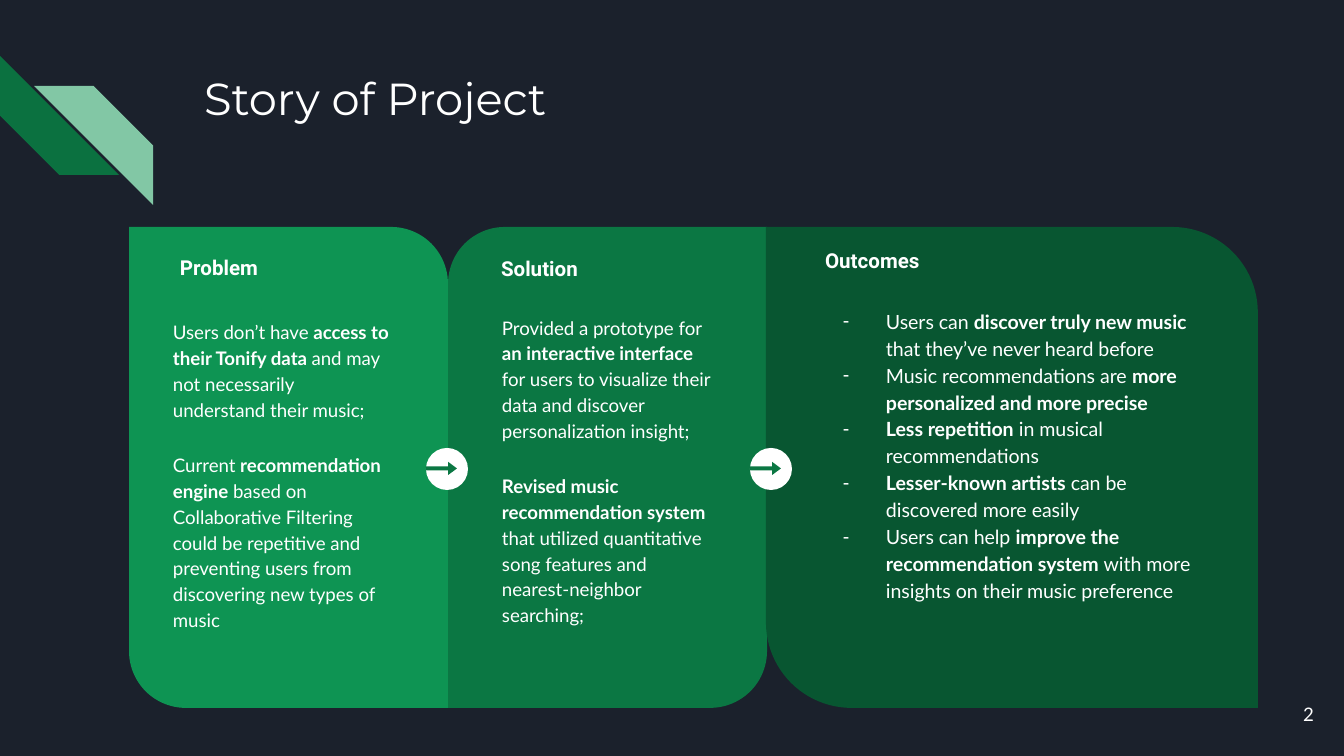
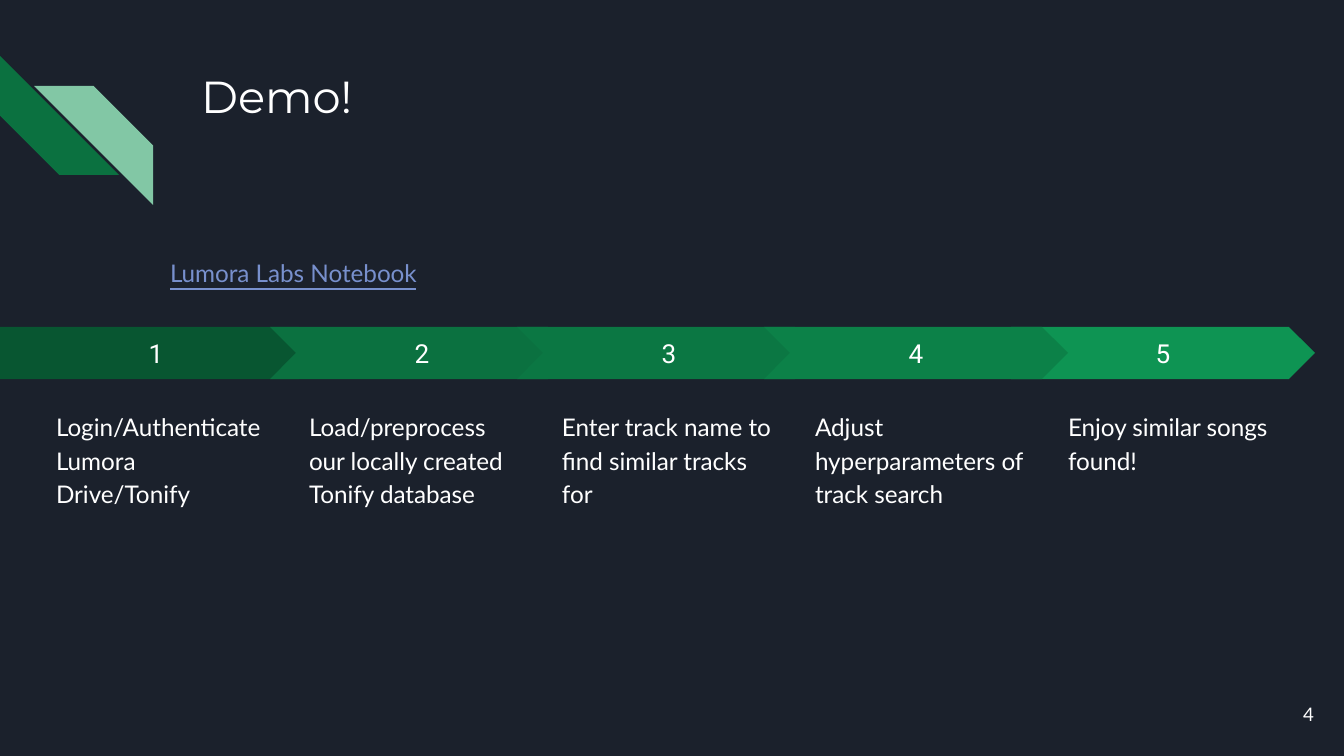
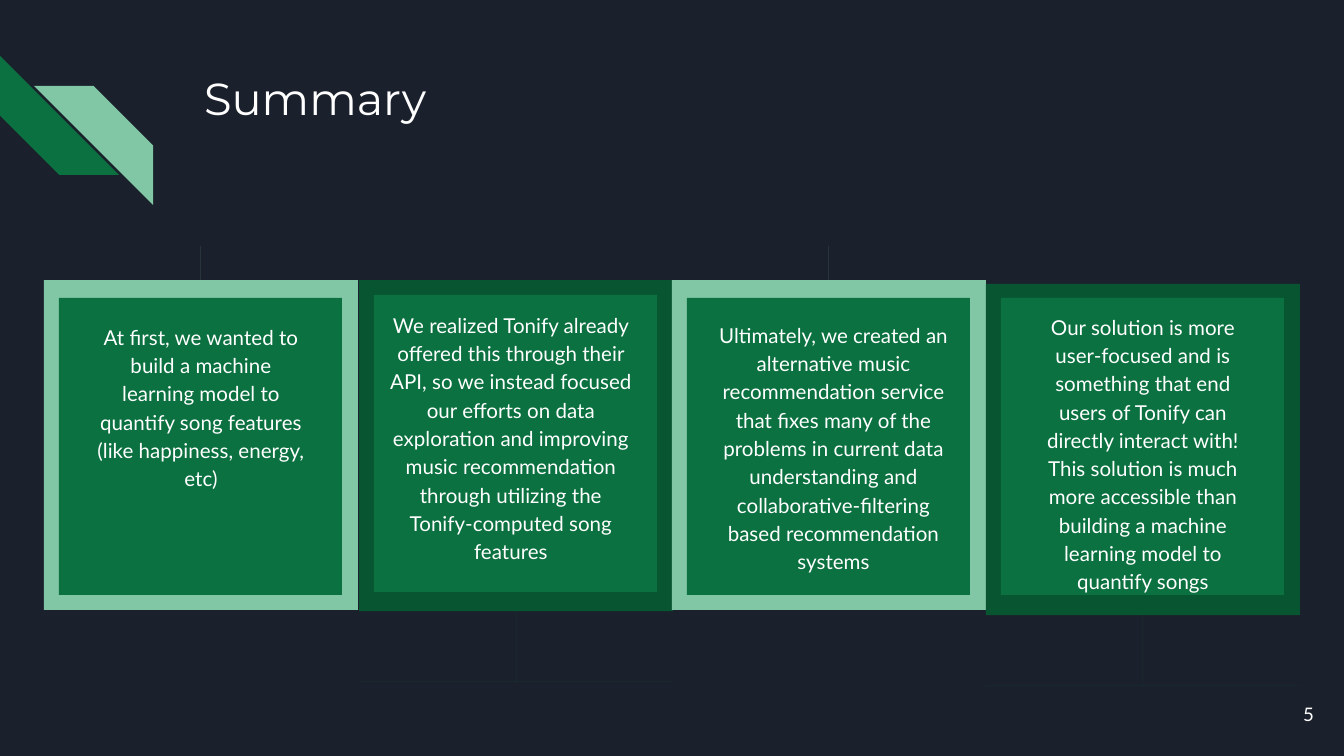
from dataclasses import dataclass, replace
from typing import NamedTuple, Optional

from lxml.etree import SubElement
from pptx import Presentation
from pptx.dml.color import RGBColor
from pptx.enum.shapes import MSO_SHAPE
from pptx.enum.text import MSO_ANCHOR, MSO_AUTO_SIZE, PP_ALIGN
from pptx.oxml.ns import qn
from pptx.shapes.autoshape import Shape
from pptx.slide import Slide
from pptx.text.text import TextFrame, _Paragraph
from pptx.util import Emu, Pt

WIDTH, HEIGHT = 1344, 756
EMU_PER_PX = 9144000 / WIDTH
INSET = 13

NAVY, WHITE, LINK = "1B212C", "FFFFFF", "7890CD"
DEEP, FOREST, GREEN = "085631", "0B7140", "0B7743"
MID, BRIGHT, MINT = "0C8148", "0E9453", "82C7A5"

TITLE_ONLY, TITLE_AND_BODY = 5, 1


class Box(NamedTuple):
    left: int
    top: int
    width: int
    height: int


class Run(NamedTuple):
    text: str
    bold: bool = False


Paragraphs = list[list[Run]]


@dataclass(frozen=True)
class Style:
    font: str = "Lato"
    size: float = 10
    color: str = WHITE
    underline: bool = False
    align: PP_ALIGN = PP_ALIGN.LEFT
    anchor: MSO_ANCHOR = MSO_ANCHOR.TOP
    spacing: float = 1.15
    gap: int = 0
    bullet: Optional[str] = None


TITLE = Style("Montserrat", 24, spacing=1)
HEADING = Style("Roboto", 11, spacing=1)
BODY = Style(gap=16)
BULLETS = Style(size=10.5, bullet="-")
PAGE = Style(align=PP_ALIGN.RIGHT, anchor=MSO_ANCHOR.MIDDLE, spacing=1)
STEP_NUMBER = Style("Roboto", 14, align=PP_ALIGN.CENTER, anchor=MSO_ANCHOR.MIDDLE, spacing=1)
STEP_TEXT = Style(size=13)
LINK_TEXT = replace(STEP_TEXT, color=LINK, underline=True)
CARD_TEXT = Style(size=11, align=PP_ALIGN.CENTER)


@dataclass(frozen=True)
class Panel:
    box: Box
    fill: str
    corners: tuple[float, float]
    heading: str
    heading_box: Box
    body_box: Box
    body: Paragraphs


@dataclass(frozen=True)
class Step:
    text: str
    fill: str


@dataclass(frozen=True)
class FrameKind:
    fill: str
    rotation: int
    adjustments: tuple[float, ...]


@dataclass(frozen=True)
class Card:
    kind: FrameKind
    frame: Box
    inner: Box
    text_box: Box
    text: str


def px(n: float) -> Emu:
    return Emu(round(n * EMU_PER_PX))


def rgb(value: str) -> RGBColor:
    return RGBColor.from_string(value)


def place(sp: Shape, box: Box) -> None:
    sp.left, sp.top, sp.width, sp.height = (px(n) for n in box)


def plain(text: str, bold: bool = False) -> Paragraphs:
    return [[Run(text, bold)]]


def set_bullet(p: _Paragraph, bullet: Optional[str]) -> None:
    pPr = p._p.get_or_add_pPr()
    pPr.set("marL", str(px(67) if bullet else 0))
    pPr.set("indent", str(px(-43) if bullet else 0))
    if bullet:
        SubElement(pPr, qn("a:buChar")).set("char", bullet)
    else:
        SubElement(pPr, qn("a:buNone"))


def write(tf: TextFrame, paragraphs: Paragraphs, style: Style) -> None:
    tf.word_wrap = True
    tf.auto_size = MSO_AUTO_SIZE.NONE
    tf.vertical_anchor = style.anchor
    tf.margin_left = tf.margin_right = tf.margin_top = tf.margin_bottom = px(INSET)
    for i, runs in enumerate(paragraphs):
        p = tf.add_paragraph() if i else tf.paragraphs[0]
        p.alignment = style.align
        p.line_spacing = style.spacing
        p.space_before = Pt(style.gap if i else 0)
        p.space_after = Pt(0)
        set_bullet(p, style.bullet)
        for run in runs:
            r = p.add_run()
            r.text = run.text
            r.font.name = style.font
            r.font.size = Pt(style.size)
            r.font.bold = run.bold
            r.font.underline = style.underline
            r.font.color.rgb = rgb(style.color)


def add_text(s: Slide, box: Box, paragraphs: Paragraphs, style: Style) -> None:
    sp = s.shapes.add_textbox(*(px(n) for n in box))
    write(sp.text_frame, paragraphs, style)


def fill_placeholder(s: Slide, idx: int, box: Box, paragraphs: Paragraphs, style: Style) -> None:
    """Fill a placeholder and bring it in front of the shapes drawn so far."""
    sp = s.placeholders[idx]
    place(sp, box)
    write(sp.text_frame, paragraphs, style)
    s.shapes.element.append(sp.element)


def add_shape(s: Slide, kind: MSO_SHAPE, box: Box, fill: str,
              adjustments: tuple[float, ...] = (), rotation: int = 0) -> Shape:
    sp = s.shapes.add_shape(kind, *(px(n) for n in box))
    sp.shadow.inherit = False
    sp.fill.solid()
    sp.fill.fore_color.rgb = rgb(fill)
    sp.line.fill.background()
    sp.rotation = rotation
    for i, value in enumerate(adjustments):
        sp.adjustments[i] = value
    return sp


def add_slide(prs: Presentation, layout: int, title: str, page: int,
              title_box: Box = Box(191, 58, 1035, 134)) -> Slide:
    s = prs.slides.add_slide(prs.slide_layouts[layout])
    fill_placeholder(s, 0, title_box, plain(title), TITLE)
    add_text(s, Box(1246, 685, 81, 58), plain(str(page)), PAGE)
    return s


def decorate_master(prs: Presentation, s: Slide) -> None:
    """Set the background and move the two corner stripes to the master."""
    master = prs.slide_master
    master.background.fill.solid()
    master.background.fill.fore_color.rgb = rgb(NAVY)
    for box, fill, rotation in ((Box(0, 56, 119, 119), FOREST, 270),
                                (Box(34, 86, 119, 119), MINT, 90)):
        stripe = add_shape(s, MSO_SHAPE.DIAGONAL_STRIPE, box, fill, (0.5,), rotation)
        master.shapes.element.append(stripe.element)


PANELS = [
    Panel(Box(129, 227, 319, 481), BRIGHT, (0, 0.178), "Problem",
          Box(167, 242, 227, 55), Box(160, 305, 242, 372), [
              [Run("Users don’t have "), Run("access to their Tonify data ", True),
               Run("and may not necessarily understand their music;")],
              [Run("Current "), Run("recommendation engine", True),
               Run(" based on Collaborative Filtering could be repetitive and "
                   "preventing users from discovering new types of music")]]),
    Panel(Box(448, 227, 319, 481), GREEN, (0.178, 0), "Solution",
          Box(488, 243, 233, 56), Box(489, 300, 238, 370), [
              [Run("Provided a prototype for "), Run("an interactive interface ", True),
               Run("for users to visualize their data and discover personalization insight;")],
              [Run("Revised music recommendation system ", True),
               Run("that utilized quantitative song features and "
                   "nearest-neighbor searching;")]]),
    Panel(Box(766, 227, 492, 481), DEEP, (0, 0.178), "Outcomes",
          Box(812, 235, 355, 56), Box(806, 293, 407, 384), [
              [Run("Users can "), Run("discover truly new music ", True),
               Run("that they’ve never heard before")],
              [Run("Music recommendations are "),
               Run("more personalized and more precise", True)],
              [Run("Less repetition", True), Run(" in musical recommendations")],
              [Run("Lesser-known artists", True), Run(" can be discovered more easily")],
              [Run("Users can help "), Run("improve the recommendation system", True),
               Run(" with more insights on their music preference")]]),
]

STEPS = [
    Step("Login/Authenticate Lumora Drive/Tonify", DEEP),
    Step("Load/preprocess our locally created Tonify database", FOREST),
    Step("Enter track name to find similar tracks for", GREEN),
    Step("Adjust hyperparameters of track search", MID),
    Step("Enjoy similar songs found!", BRIGHT),
]
STEP_ORDER = (0, 1, 2, 4, 3)  # the fourth arrow overlaps the fifth

LIGHT = FrameKind(MINT, 270, (0, 0, 0, 0.906))
DARK = FrameKind(DEEP, 90, (0, 0.5, 0, 0.824))

CARDS = [
    Card(LIGHT, Box(19, 271, 364, 314), Box(59, 298, 283, 297), Box(82, 308, 238, 257),
         "At first, we wanted to build a machine learning model to quantify song "
         "features (like happiness, energy, etc)"),
    Card(DARK, Box(315, 324, 402, 314), Box(374, 295, 283, 297), Box(374, 296, 274, 284),
         "We realized Tonify already offered this through their API, so we instead "
         "focused our efforts on data exploration and improving music recommendation "
         "through utilizing the Tonify-computed song features"),
    Card(LIGHT, Box(647, 271, 364, 314), Box(687, 298, 283, 297), Box(703, 306, 261, 259),
         "Ultimately, we created an alternative music recommendation service that fixes "
         "many of the problems in current data understanding and "
         "collaborative-filtering based recommendation systems"),
    Card(DARK, Box(942, 328, 402, 314), Box(1001, 298, 283, 297), Box(1024, 298, 238, 265),
         "Our solution is more user-focused and is something that end users of Tonify "
         "can directly interact with! This solution is much more accessible than "
         "building a machine learning model to quantify songs"),
]


def build_story(prs: Presentation) -> None:
    s = add_slide(prs, TITLE_AND_BODY, "Story of Project", 2)
    decorate_master(prs, s)
    for panel in PANELS:
        add_shape(s, MSO_SHAPE.ROUND_2_DIAG_RECTANGLE, panel.box, panel.fill, panel.corners)
        add_text(s, panel.heading_box, plain(panel.heading, True), HEADING)
    *stories, outcomes = PANELS
    for panel in stories:
        add_text(s, panel.body_box, panel.body, BODY)
    fill_placeholder(s, 1, outcomes.body_box, outcomes.body, BULLETS)
    for left in (426, 750):
        add_shape(s, MSO_SHAPE.OVAL, Box(left, 448, 42, 42), WHITE)
        add_shape(s, MSO_SHAPE.RIGHT_ARROW, Box(left, 462, 31, 13), GREEN, (0.32, 0.67))


def build_demo(prs: Presentation) -> None:
    s = add_slide(prs, TITLE_AND_BODY, "Demo!", 4, Box(188, 56, 190, 134))
    fill_placeholder(s, 1, Box(157, 241, 284, 58), plain("Lumora Labs Notebook"), LINK_TEXT)
    for i in STEP_ORDER:
        step = STEPS[i]
        if i == 0:
            kind, box = MSO_SHAPE.PENTAGON, Box(0, 327, 325, 52)
        else:
            kind, box = MSO_SHAPE.CHEVRON, Box(23 + 247 * i, 327, 304, 52)
        arrow = add_shape(s, kind, box, step.fill, (0.5,))
        write(arrow.text_frame, plain(str(i + 1)), STEP_NUMBER)
        add_text(s, Box(43 + 253 * i, 395, 239, 185), plain(step.text), STEP_TEXT)


def build_summary(prs: Presentation) -> None:
    s = add_slide(prs, TITLE_ONLY, "Summary", 5)
    for card in CARDS:
        kind = card.kind
        add_shape(s, MSO_SHAPE.RIGHT_ARROW_CALLOUT, card.frame, kind.fill,
                  kind.adjustments, kind.rotation)
        add_shape(s, MSO_SHAPE.RECTANGLE, card.inner, FOREST)
        add_text(s, card.text_box, plain(card.text), CARD_TEXT)


def main() -> None:
    prs = Presentation()
    prs.slide_width, prs.slide_height = px(WIDTH), px(HEIGHT)
    build_story(prs)
    build_demo(prs)
    build_summary(prs)
    prs.save("out.pptx")


if __name__ == "__main__":
    main()
